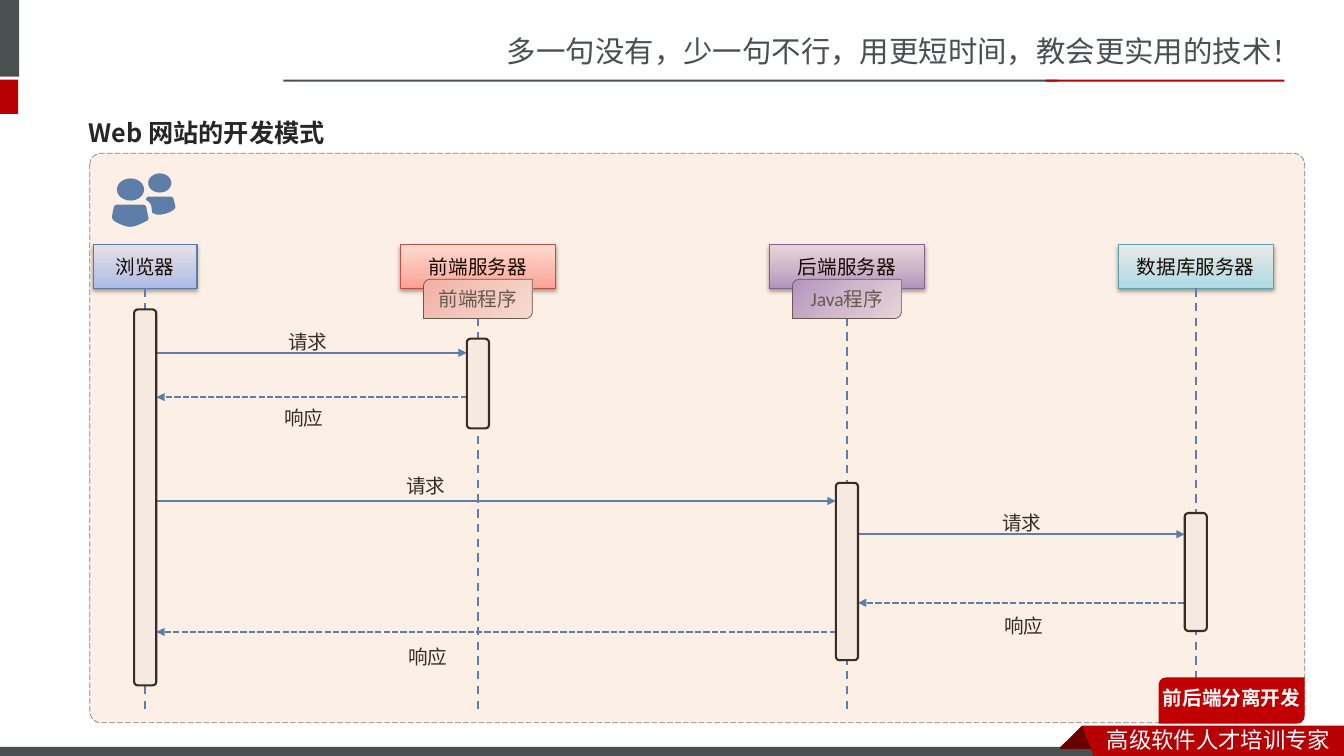
from copy import deepcopy

from lxml import etree
from pptx import Presentation
from pptx.dml.color import RGBColor
from pptx.enum import dml, shapes, text
from pptx.oxml.ns import qn
from pptx.util import Inches, Pt

THEME = {
    "grey": "49504F", "red": "B60004", "dark_red": "680000", "badge": "C00000",
    "blue": "4F81BD", "ink": "262626", "muted": "595959", "black": "000000",
    "white": "FFFFFF", "bar": "F9F9F9", "panel": "E46C0A", "panel_edge": "808080",
    "cjk": "Noto Sans CJK SC", "heading": "Noto Sans CJK JP", "latin": "Calibri",
    "tagline_size": 21, "heading_size": 18, "footer_size": 16, "label_size": 14,
}
PURPLE = [(0, "B197D2"), (0.5, "CEC1E2"), (1, "E7E1F0")]
PINK = [(0, "F2B7B6"), (0.5, "F6D2D1"), (1, "FAE8E8")]

TAGLINE = "多一句没有，少一句不行，用更短时间，教会更实用的技术！"
HEADING = "Web 网站的开发模式"
FOOTER = "高级软件人才培训专家"
BADGE = "前后端分离开发"

# name: (centre x, head width, gradient, edge, bar top, bar height)
PARTICIPANTS = {
    "浏览器": (1.44, 1.03, [(0, "A4C4FF"), (0.35, "BFD4FF"), (1, "E6EEFF")],
            "4B7EBC", 3.07, 3.73),
    "前端服务器": (4.74, 1.54, [(0, "FFA6A5"), (0.35, "FFC0BF"), (1, "FFE7E7")],
              "BF4C48", 3.36, 0.89),
    "后端服务器": (8.4, 1.54, PURPLE, "7D60A0", 4.79, 1.76),
    "数据库服务器": (11.86, 1.54, [(0, "A7E6FF"), (0.35, "C1EDFF"), (1, "E7F8FF")],
               "46AAC5", 5.09, 1.17),
}
PROGRAMS = [("前端程序", "前端服务器", PINK, 0), ("Java程序", "后端服务器", PURPLE, 0.1)]
# sender, receiver, y, label, label left, label top
MESSAGES = [
    ("浏览器", "前端服务器", 3.5, "请求", 2.76, 3.11),
    ("前端服务器", "浏览器", 3.94, "响应", 2.72, 3.86),
    ("浏览器", "后端服务器", 4.97, "请求", 3.93, 4.54),
    ("后端服务器", "数据库服务器", 5.3, "请求", 9.84, 4.9),
    ("数据库服务器", "后端服务器", 5.98, "响应", 9.86, 5.92),
    ("后端服务器", "浏览器", 6.27, "响应", 3.95, 6.23),
]
FRAME_BARS = [
    ((-0.06, 0, 0.25, 0.76), "grey"), ((-0.06, 0.79, 0.24, 0.34), "red"),
    ((2.81, 0.79, 7.68, 0.02), "grey"), ((10.37, 0.79, 2.37, 0.02), "red"),
    ((-0.01, 7.41, 11, 0.12), "grey"),
]
RIBBON_FOLD = [(10.73, 7.2), (10.95, 7.42), (10.94, 7.43), (10.52, 7.43), (10.51, 7.42)]
RIBBON = [(10.73, 7.2), (13.33, 7.2), (13.33, 7.54), (10.86, 7.53)]
USER_HEADS = [(1.16, 1.77, 0.27, 0.22), (1.47, 1.72, 0.23, 0.19)]
# each step is a line (x, y) or a cubic curve (x1, y1, x2, y2, x, y)
USER_BODIES = [
    [(1.17, 2.03), (1.41, 2.03), (1.43, 2.03, 1.45, 2.04, 1.45, 2.05), (1.47, 2.15),
     (1.48, 2.16, 1.47, 2.18, 1.46, 2.19), (1.45, 2.19, 1.36, 2.25, 1.29, 2.25),
     (1.22, 2.25, 1.13, 2.19, 1.13, 2.19), (1.12, 2.18, 1.11, 2.16, 1.11, 2.15),
     (1.13, 2.05), (1.14, 2.04, 1.15, 2.03, 1.17, 2.03)],
    [(1.48, 1.95), (1.69, 1.95), (1.7, 1.95, 1.72, 1.96, 1.72, 1.97), (1.74, 2.05),
     (1.74, 2.06, 1.73, 2.08, 1.72, 2.08), (1.72, 2.09, 1.64, 2.13, 1.58, 2.13),
     (1.57, 2.13, 1.55, 2.13, 1.53, 2.12), (1.51, 2.11), (1.5, 2.04),
     (1.49, 2.02, 1.48, 2, 1.46, 1.99), (1.45, 1.99, 1.45, 1.98, 1.45, 1.97),
     (1.45, 1.96, 1.47, 1.95, 1.48, 1.95)],
]
HEAD_TOP, HEAD_HEIGHT, LIFELINE_END, BAR_WIDTH = 2.43, 0.43, 7.06, 0.22

deck = Presentation()
deck.slide_width, deck.slide_height = Inches(13.33), Inches(7.5)
page = deck.slides.add_slide(deck.slide_layouts[5])


def rgb(color):
    return RGBColor.from_string(THEME.get(color, color))


def write(box, content, size, color, font="latin", bold=False, align="LEFT",
          anchor="TOP", wrap=True, insets=None, spacing=None):
    frame = box.text_frame
    frame.text = content
    frame.word_wrap = wrap
    frame.auto_size = text.MSO_AUTO_SIZE.NONE
    frame.vertical_anchor = text.MSO_ANCHOR[anchor]
    if insets:
        (frame.margin_left, frame.margin_top, frame.margin_right,
         frame.margin_bottom) = map(Inches, insets)
    para = frame.paragraphs[0]
    para.alignment = text.PP_ALIGN[align]
    if spacing:
        para.line_spacing = spacing
    span = para.runs[0]
    span.font.size, span.font.bold = Pt(THEME[size]), bold
    span.font.color.rgb = rgb(color)
    span.font.name = THEME[font]
    if font != "latin":
        east_asian = etree.SubElement(span.font._element, qn("a:ea"))
        east_asian.set("typeface", THEME[font])


def add_text(at, content, *style, **options):
    write(page.shapes.add_textbox(*map(Inches, at)), content, *style, **options)


def style_shape(shape, fill=None, edge=None, width=0.75):
    shape.shadow.inherit = False
    if fill:
        shape.fill.solid()
        shape.fill.fore_color.rgb = rgb(fill)
    if edge:
        shape.line.color.rgb, shape.line.width = rgb(edge), Pt(width)
    else:
        shape.line.fill.background()
    return shape


def add_box(kind, at, *style):
    shape = page.shapes.add_shape(shapes.MSO_SHAPE[kind], *map(Inches, at))
    return style_shape(shape, *style)


def add_outline(points, fill):
    points = [(Inches(x), Inches(y)) for x, y in points]
    builder = page.shapes.build_freeform(*points[0])
    builder.add_line_segments(points[1:], close=True)
    style_shape(builder.convert_to_shape(), fill)


def flatten(steps, pieces=8):
    """Turn lines and cubic curves into a list of points."""
    points = []
    for step in steps:
        if len(step) == 2:
            points.append(step)
            continue
        knots = [points[-1], step[:2], step[2:4], step[4:]]
        for piece in range(1, pieces + 1):
            t = piece / pieces
            weights = ((1 - t) ** 3, 3 * t * (1 - t) ** 2, 3 * t * t * (1 - t), t ** 3)
            points.append(tuple(sum(w * knot[axis] for w, knot in zip(weights, knots))
                                for axis in (0, 1)))
    return points


def shade(shape, stops, angle):
    """Give a three-stop gradient; the angle runs counter-clockwise."""
    shape.fill.gradient()
    shape.fill.gradient_angle = angle
    stop_list = shape._element.spPr.find(qn("a:gradFill")).find(qn("a:gsLst"))
    stop_list.append(deepcopy(stop_list[0]))
    for stop, (position, color) in zip(shape.fill.gradient_stops, stops):
        stop.position, stop.color.rgb = position, rgb(color)


def drop_shadow(shape):
    effects = shape._element.spPr.find(qn("a:effectLst"))
    shadow = etree.SubElement(effects, qn("a:outerShdw"), blurRad=str(Pt(3.1)),
                              dist=str(Pt(1.6)), dir="5400000", rotWithShape="0")
    color = etree.SubElement(shadow, qn("a:srgbClr"), val=THEME["black"])
    etree.SubElement(color, qn("a:alpha"), val="38000")


def add_line(start, end, dash=None, arrow=False):
    line = page.shapes.add_connector(shapes.MSO_CONNECTOR.STRAIGHT,
                                     *map(Inches, start + end))
    line.line.color.rgb, line.line.width = rgb("blue"), Pt(1.5)
    if dash:
        line.line.dash_style = dml.MSO_LINE[dash]
    if arrow:
        etree.SubElement(line.get_or_add_ln(), qn("a:tailEnd"), type="triangle")
    etree.SubElement(line._element.spPr, qn("a:effectLst"))


title = page.shapes.title
title.left, title.top, title.width, title.height = map(Inches, (0.78, 1.03, 11.7, 0.57))
write(title, HEADING, "heading_size", "ink", "heading", bold=True, anchor="MIDDLE")

for at, color in FRAME_BARS:
    add_box("RECTANGLE", at, color)
add_outline(RIBBON_FOLD, "dark_red")
add_outline(RIBBON, "red")
add_text((4.93, 0.28, 8.41, 0.47), TAGLINE, "tagline_size", "grey", "cjk", wrap=False)
add_text((10.88, 7.15, 2.45, 0.37), FOOTER, "footer_size", "white", "cjk", wrap=False)

for name, (x, width, stops, edge, _, _) in PARTICIPANTS.items():
    head = add_box("RECTANGLE", (x - width / 2, HEAD_TOP, width, HEAD_HEIGHT), None, edge)
    shade(head, stops, 90)
    drop_shadow(head)
    write(head, name, "label_size", "black", align="CENTER", anchor="MIDDLE")
    add_line((x, HEAD_TOP + HEAD_HEIGHT), (x, LIFELINE_END), "DASH")

for sender, receiver, y, label, left, top in MESSAGES:
    start, end = PARTICIPANTS[sender][0], PARTICIPANTS[receiver][0]
    reach = BAR_WIDTH / 2 if end > start else -BAR_WIDTH / 2
    reply = label == "响应"
    add_line((start + reach, y), (end - reach, y), "SQUARE_DOT" if reply else None, True)
    add_text((left, top, 0.73 if reply else 0.66, 0.39), label, "label_size", "ink",
             "heading", spacing=1.5)

for x, _, _, _, top, height in PARTICIPANTS.values():
    add_box("ROUNDED_RECTANGLE", (x - BAR_WIDTH / 2, top, BAR_WIDTH, height),
            "bar", "ink", 1.5)

for name, host, stops, inset in PROGRAMS:
    x = PARTICIPANTS[host][0]
    program = add_box("ROUND_2_DIAG_RECTANGLE", (x - 0.54, 2.77, 1.08, 0.39),
                      None, "muted", 0.5)
    shade(program, stops, 315)
    write(program, name, "label_size", "muted", align="CENTER", anchor="MIDDLE",
          insets=(inset, inset / 2, inset, inset / 2))

for at in USER_HEADS:
    add_box("OVAL", at, "blue")
for body in USER_BODIES:
    add_outline(flatten(body), "blue")

panel = add_box("ROUNDED_RECTANGLE", (0.89, 1.52, 12.05, 5.65), "panel", "panel_edge", 0.5)
panel.adjustments[0] = 0.02
panel.line.dash_style = dml.MSO_LINE.LONG_DASH
tint = panel._element.spPr.find(qn("a:solidFill"))[0]
etree.SubElement(tint, qn("a:alpha"), val="10000")

badge = add_box("ROUND_2_DIAG_RECTANGLE", (11.49, 6.72, 1.45, 0.46), "badge")
write(badge, BADGE, "label_size", "white", bold=True, align="CENTER", anchor="MIDDLE",
      insets=(0, 0, 0, 0.05))

deck.save("out.pptx")
